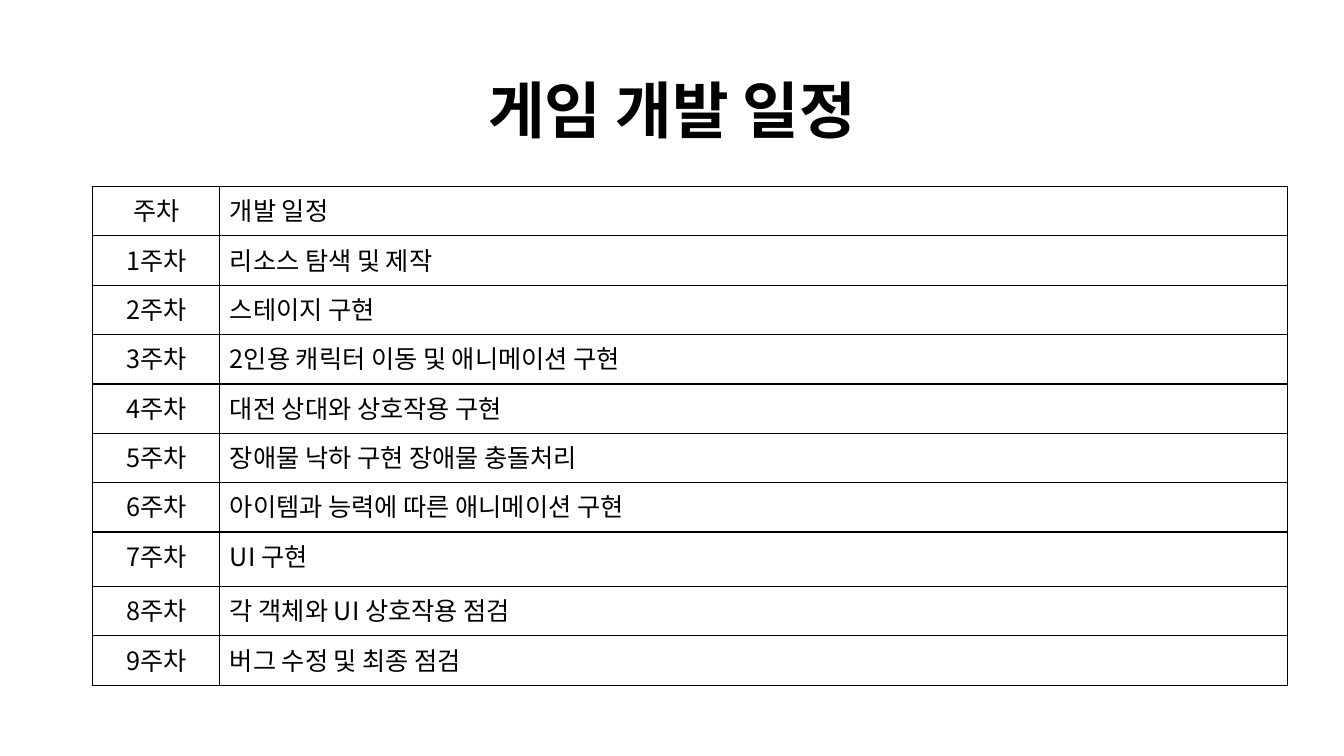
import pptx
import pptx.util
import pptx.dml.color
import pptx.enum.text
import pptx.oxml
import pptx.oxml.ns

WIDTH, HEIGHT = 13.33, 7.5
FONT = "Noto Sans CJK KR"
BLACK = "000000"
LEFT, TABLE_TOP = 0.92, 1.85
COLUMNS = (1.26, 10.59)
ROW, TALL_ROW, TALL_WEEK = 0.49, 0.54, 7
PLANS = (
    "리소스 탐색 및 제작",
    "스테이지 구현",
    "2인용 캐릭터 이동 및 애니메이션 구현",
    "대전 상대와 상호작용 구현",
    "장애물 낙하 구현 장애물 충돌처리",
    "아이템과 능력에 따른 애니메이션 구현",
    "UI 구현",
    "각 객체와 UI 상호작용 점검",
    "버그 수정 및 최종 점검",
)


def inches(value):
    return pptx.util.Inches(value)


def color(value):
    return pptx.dml.color.RGBColor.from_string(value)


def write(tf, text, size, centered=False, bold=False):
    tf.text = text
    p = tf.paragraphs[0]
    align = pptx.enum.text.PP_ALIGN
    p.alignment = align.CENTER if centered else align.LEFT
    r = p.runs[0]
    r.font.size = pptx.util.Pt(size)
    r.font.name = FONT
    r.font.bold = bold
    r.font.color.rgb = color(BLACK)
    ea = pptx.oxml.parse_xml(
        f'<a:ea {pptx.oxml.ns.nsdecls("a")} typeface="{FONT}"/>')
    r.font._element.find(pptx.oxml.ns.qn("a:latin")).addnext(ea)
    return p


def add_title(s, text):
    sp = s.shapes.add_textbox(*map(inches, (LEFT, 0.4, 11.5, 1.45)))
    tf = sp.text_frame
    tf.word_wrap = True
    tf.vertical_anchor = pptx.enum.text.MSO_ANCHOR.MIDDLE
    write(tf, text, 44, centered=True, bold=True).line_spacing = 0.9


def add_borders(cell):
    properties = cell._tc.get_or_add_tcPr()
    for index, side in enumerate(("lnL", "lnR", "lnT", "lnB")):
        properties.insert(index, pptx.oxml.parse_xml(
            f'<a:{side} {pptx.oxml.ns.nsdecls("a")} w="12700"><a:solidFill>'
            f'<a:srgbClr val="{BLACK}"/></a:solidFill></a:{side}>'))


def add_schedule(s, rows):
    heights = [TALL_ROW if i == TALL_WEEK else ROW for i in range(len(rows))]
    frame = s.shapes.add_table(
        len(rows), len(COLUMNS),
        *map(inches, (LEFT, TABLE_TOP, sum(COLUMNS), sum(heights))))
    table = frame.table
    table.first_row = table.horz_banding = False
    for column, width in zip(table.columns, COLUMNS):
        column.width = inches(width)
    for row, height, texts in zip(table.rows, heights, rows):
        row.height = inches(height)
        for i, (cell, text) in enumerate(zip(row.cells, texts)):
            cell.fill.background()
            add_borders(cell)
            write(cell.text_frame, text, 18, centered=i == 0)


def main():
    prs = pptx.Presentation()
    prs.slide_width, prs.slide_height = inches(WIDTH), inches(HEIGHT)
    s = prs.slides.add_slide(prs.slide_layouts[6])
    add_title(s, "게임 개발 일정")
    weeks = [(f"{n}주차", plan) for n, plan in enumerate(PLANS, 1)]
    add_schedule(s, [("주차", "개발 일정")] + weeks)
    prs.save("out.pptx")


main()
